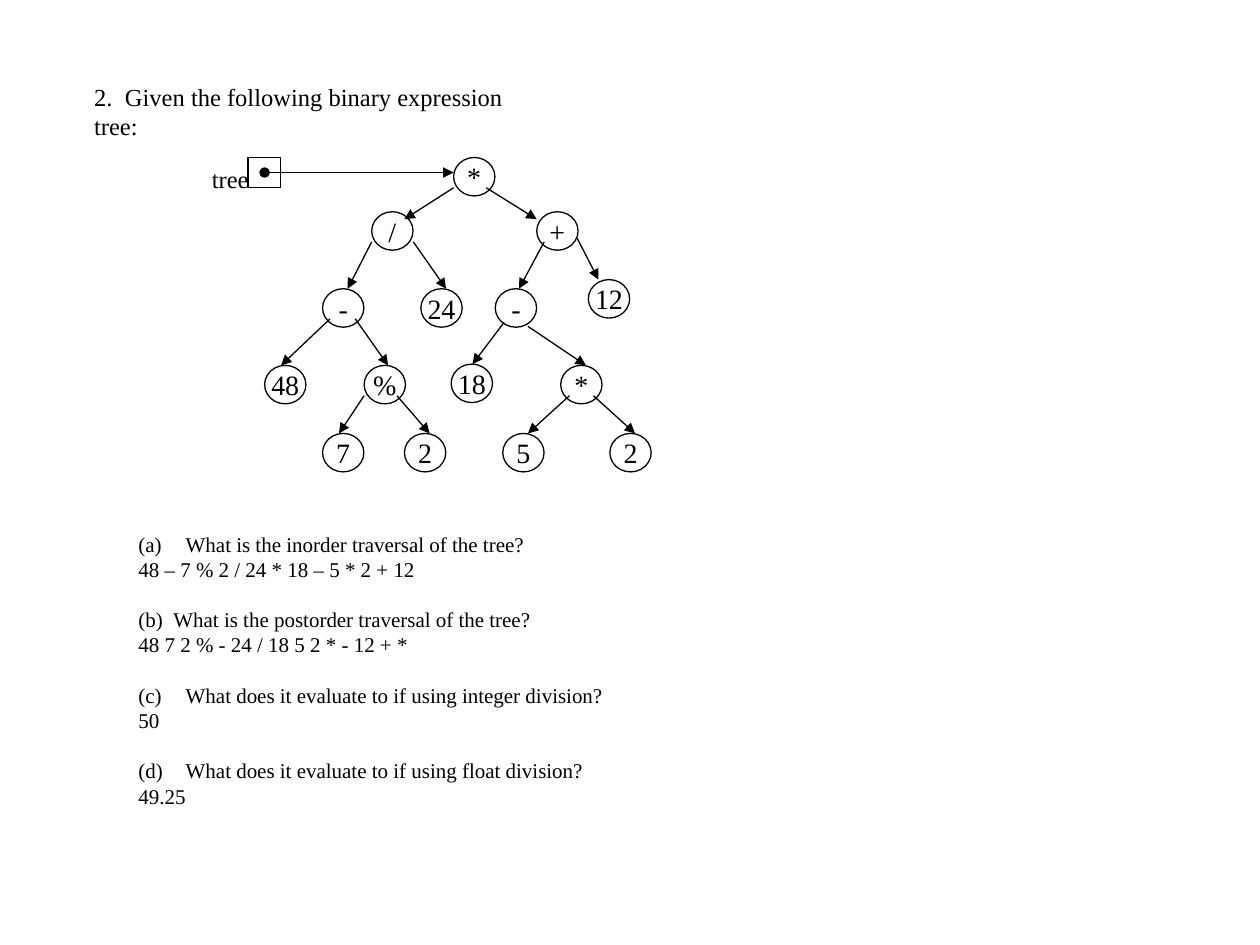
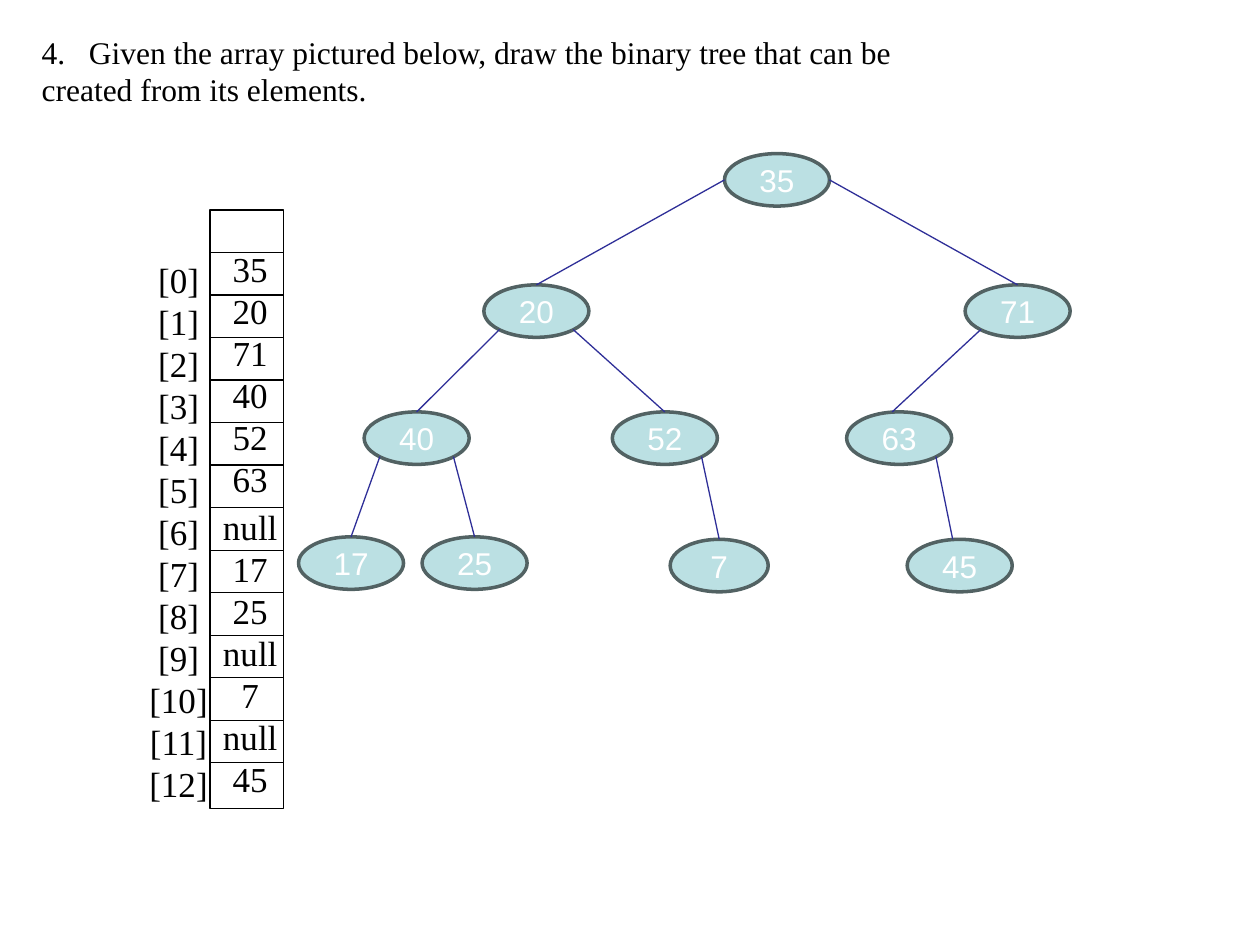
from lxml.etree import SubElement
from pptx import Presentation
from pptx.dml.color import RGBColor
from pptx.enum.shapes import MSO_CONNECTOR, MSO_SHAPE
from pptx.enum.text import MSO_ANCHOR, MSO_AUTO_SIZE, PP_ALIGN
from pptx.oxml.ns import qn
from pptx.util import Pt

BLACK = RGBColor(0x00, 0x00, 0x00)
WHITE = RGBColor(0xFF, 0xFF, 0xFF)
TEAL = RGBColor(0xBB, 0xE0, 0xE3)
SLATE = RGBColor(0x52, 0x62, 0x63)
NAVY = RGBColor(0x2F, 0x2F, 0x98)
SERIF, SANS = "Times New Roman", "Arial"
LEADING = 1.2

# Expression tree: label, left, top
OPS = [
    ("*", 145.2, 0), ("/", 98.4, 31), ("+", 192.7, 31),
    ("-", 70.3, 75), ("24", 126.5, 75), ("-", 169, 75), ("12", 222.2, 69.8),
    ("48", 37.2, 118.8), ("%", 94.1, 118.8), ("18", 143.8, 118.1),
    ("*", 206.4, 118.8), ("7", 70.3, 157.7), ("2", 117.1, 157.7),
    ("5", 173.3, 157.7), ("2", 234.5, 157.7),
]
# Arrows of the expression tree: start x, y and end x, y
ARROWS = [
    (145.2, 17.3, 117.1, 35.3), (163.9, 17.3, 192.7, 35.3),
    (98.4, 48.2, 84.7, 75), (122.2, 48.2, 140.9, 75),
    (197, 48.2, 182.6, 75), (215.8, 46.1, 228, 69.8),
    (74.6, 92.2, 46.6, 118.8), (89, 92.2, 107.8, 118.8),
    (174, 94.3, 156, 118.1), (187.7, 96.5, 220.8, 118.8),
    (94.1, 136.1, 79.7, 157.7), (112.8, 136.1, 131.5, 157.7),
    (211.4, 136.1, 187.7, 157.7), (225.1, 136.1, 248.9, 157.7),
]
# Number gap, question, answer
QUIZ = [
    (27, "What is the inorder traversal of the tree?",
     "48 – 7 % 2 / 24 * 18 – 5 * 2 + 12"),
    (20, "What is the postorder traversal of the tree?",
     "48 7 2 % - 24 / 18 5 2 * - 12 + *"),
    (27, "What does it evaluate to if using integer division?", "50"),
    (27, "What does it evaluate to if using float division?", "49.25"),
]
ITEMS = ["35", "20", "71", "40", "52", "63", "null",
         "17", "25", "null", "7", "null", "45"]
# Array tree: left, top, width by value
NODES = {
    35: (243.4, 0, 60), 20: (105.9, 75, 60), 71: (380.9, 75, 60),
    40: (37.5, 147.6, 60), 52: (179.3, 147.6, 60), 63: (313.2, 147.6, 60),
    17: (0, 219, 60), 25: (70.6, 219, 60),
    7: (212.4, 220.4, 56), 45: (347.8, 220.4, 60),
}
# Parent, child, side (-1 left, 1 right), shift of the end
EDGES = [
    (35, 20, -1, 0), (35, 71, 1, 0), (20, 40, -1, 0), (20, 52, 1, 0),
    (71, 63, -1, -4), (40, 17, -1, 0), (40, 25, 1, 0), (52, 7, 1, 0),
    (63, 45, 1, -4),
]


def style(para, size, color=BLACK, font=SERIF):
    for run in para.runs:
        run.font.size = Pt(size)
        run.font.name = font
        run.font.color.rgb = color


def fill_text(frame, lines, size, align=PP_ALIGN.LEFT):
    """Put one paragraph per line into the frame, with even leading."""
    frame.text = "\n".join(lines)
    for para in frame.paragraphs:
        para.alignment = align
        para.line_spacing = Pt(size * LEADING)
        para.space_before = Pt(0)
        style(para, size)
    return frame.paragraphs


def number(para, kind, start, gap):
    props = para._p.get_or_add_pPr()
    props.set("marL", str(Pt(gap)))
    props.set("indent", str(-Pt(gap)))
    SubElement(props, qn("a:buAutoNum"), type=kind, startAt=str(start))


def add_text(slide, box, lines, size, align=PP_ALIGN.LEFT, wrap=False):
    frame = slide.shapes.add_textbox(*map(Pt, box)).text_frame
    frame.word_wrap = wrap
    return fill_text(frame, lines, size, align)


def add_line(slide, ends, color=BLACK, head=None, tail=None):
    line = slide.shapes.add_connector(MSO_CONNECTOR.STRAIGHT, *map(Pt, ends))
    line.line.color.rgb = color
    line.line.width = Pt(0.75)
    stroke = line.line._get_or_add_ln()
    for tag, kind in (("a:headEnd", head), ("a:tailEnd", tail)):
        if kind:
            SubElement(stroke, qn(tag), type=kind)
    SubElement(line._element.spPr, qn("a:effectLst"))


def add_form(slide, kind, box, fill=None, edge=BLACK, width=0.75):
    form = slide.shapes.add_shape(kind, *map(Pt, box))
    form.shadow.inherit = False
    if fill is None:
        form.fill.background()
    else:
        form.fill.solid()
        form.fill.fore_color.rgb = fill
    form.line.color.rgb = edge
    form.line.width = Pt(width)
    return form


def add_node(slide, box, label, size, color, font, **look):
    frame = add_form(slide, MSO_SHAPE.OVAL, box, **look).text_frame
    frame.margin_left = frame.margin_right = 0
    frame.margin_top = frame.margin_bottom = 0
    frame.vertical_anchor = MSO_ANCHOR.MIDDLE
    frame.word_wrap = False
    frame.text = label
    para = frame.paragraphs[0]
    para.alignment = PP_ALIGN.CENTER
    style(para, size, color, font)


def add_head(slide, box, start, gap, lines, size):
    """Numbered heading whose second line returns to the margin."""
    title = slide.shapes.title
    title.left, title.top, title.width, title.height = map(Pt, box)
    frame = title.text_frame
    frame.auto_size = MSO_AUTO_SIZE.NONE
    frame.vertical_anchor = MSO_ANCHOR.TOP
    frame.word_wrap = True
    number(fill_text(frame, lines, size)[0], "arabicPeriod", start, gap)


def draw_ops(slide, left, top):
    """Expression tree with its root pointer."""
    for label, x, y in OPS:
        add_node(slide, (left + x, top + y, 23.6, 22), label, 16, BLACK, SERIF)
    for x1, y1, x2, y2 in ARROWS:
        add_line(slide, (left + x1, top + y1, left + x2, top + y2),
                 tail="triangle")
    add_form(slide, MSO_SHAPE.RECTANGLE, (left + 27.8, top, 18.7, 17.3))
    add_text(slide, (left, top, 42, 24), ["tree"], 14)
    add_line(slide, (left + 37.2, top + 8.6, left + 145.2, top + 8.6),
             head="oval", tail="triangle")


def draw_quiz(slide, box):
    """Questions, each followed by its answer."""
    size = 12
    lines = [line for _, ask, reply in QUIZ for line in (ask, reply)]
    paras = add_text(slide, box, lines, size, wrap=True)
    for i, (gap, _, _) in enumerate(QUIZ):
        ask = paras[2 * i]
        if i:
            ask.space_before = Pt(size * LEADING)
        number(ask, "alphaLcParenBoth", i + 1, gap)


def draw_array(slide, left, top, width, height):
    """Array cells with indexes to the left."""
    step = 24.3
    add_form(slide, MSO_SHAPE.RECTANGLE, (left, top, width, height))
    for i in range(len(ITEMS)):
        y = top + (i + 1) * step
        add_line(slide, (left, y, left + width, y))
    marks = [f"[{i}]" for i in range(len(ITEMS))]
    add_text(slide, (left - 42, top + 24, 48, 322), marks, 20,
             PP_ALIGN.CENTER)
    paras = add_text(slide, (left, top + 18, 46, 322), ITEMS, 20,
                     PP_ALIGN.CENTER)
    paras[ITEMS.index("null")].space_before = Pt(3)


def draw_tree(slide, left, top):
    """Binary tree of the array's values."""
    high, root = 30, 35
    for value, (x, y, width) in NODES.items():
        add_node(slide, (left + x, top + y, width, high), str(value), 18,
                 WHITE, SANS, fill=TEAL, edge=SLATE, width=2)
    for parent, child, side, shift in EDGES:
        x, y, width = NODES[parent]
        # The root is left at its sides, other nodes at 45 degrees below
        reach, drop = (0.5, 0.5) if parent == root else (0.35, 0.85)
        end, foot, span = NODES[child]
        add_line(slide, (left + x + width * (0.5 + side * reach),
                         top + y + high * drop,
                         left + end + span / 2 + shift, top + foot), NAVY)


def main():
    deck = Presentation()
    deck.slide_width, deck.slide_height = Pt(720), Pt(540)
    plain = deck.slide_layouts[5]

    # Expression tree
    slide = deck.slides.add_slide(plain)
    add_head(slide, (46.6, 43, 276, 42), 2, 17.6,
             ["Given the following binary expression", "tree:"], 14)
    draw_quiz(slide, (72, 300, 290, 197))
    draw_ops(slide, 114, 90)

    # Array and its tree
    slide = deck.slides.add_slide(plain)
    add_head(slide, (16.6, 15, 520, 51), 4, 27,
             ["Given the array pictured below, draw the binary tree that can be",
              "created from its elements."], 18)
    draw_array(slide, 120, 120, 42, 342)
    draw_tree(slide, 170.6, 87.8)

    deck.save("out.pptx")


if __name__ == "__main__":
    main()
